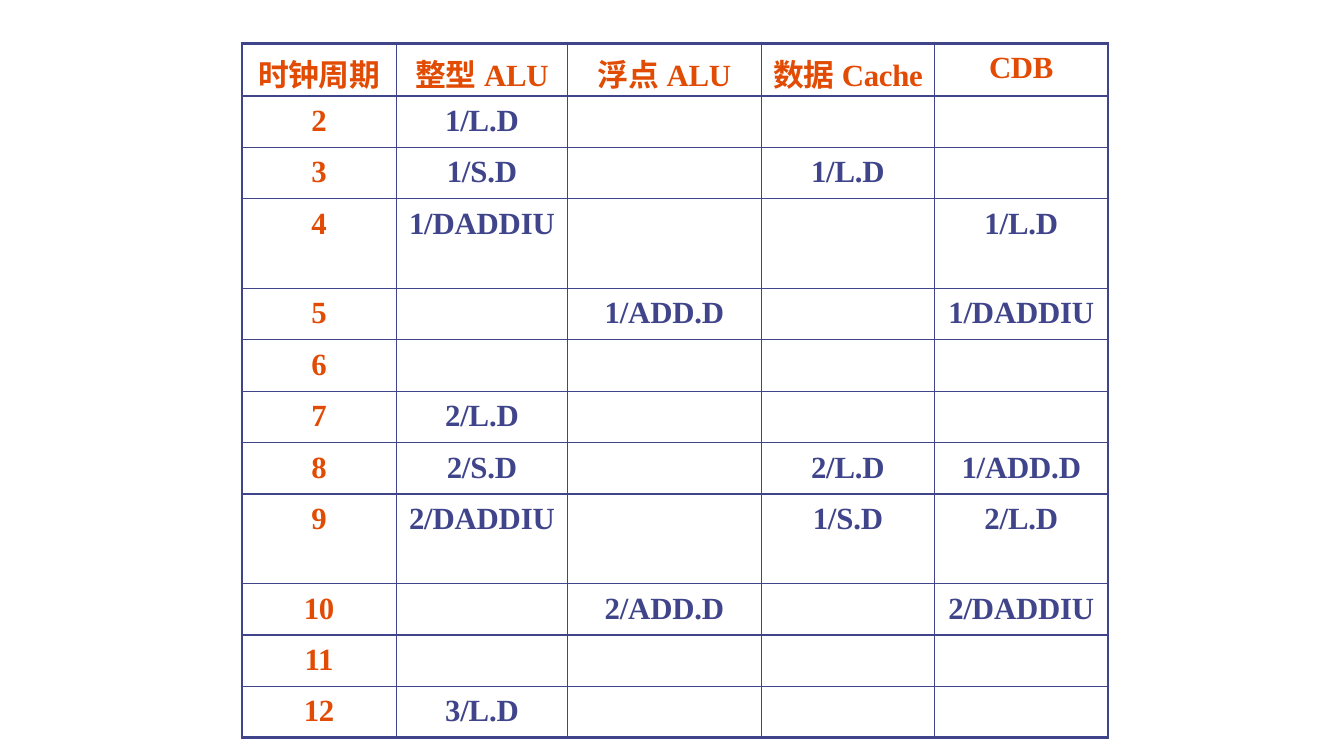
from pptx import Presentation
from pptx.dml.color import RGBColor
from pptx.enum.text import PP_ALIGN
from pptx.oxml import parse_xml
from pptx.oxml.ns import nsdecls
from pptx.util import Inches, Pt

BLUE, RED = "40458B", "E14B04"
LATIN, HAN = "Times New Roman", "Noto Sans CJK SC"


def add_run(para, text, face, color, gap):
    run = para.add_run()
    run.text = text
    font = run.font
    font.size, font.bold, font.name = Pt(22), True, face
    font.color.rgb = RGBColor.from_string(color)
    props = run._r.get_or_add_rPr()
    props.set("spc", str(gap))
    props.append(parse_xml(f'<a:ea {nsdecls("a")} typeface="{face}"/>'))


def add_edge(cell, side, width):
    cell._tc.get_or_add_tcPr().append(parse_xml(
        f'<a:ln{side} {nsdecls("a")} w="{Pt(width)}"><a:solidFill>'
        f'<a:srgbClr val="{BLUE}"/></a:solidFill></a:ln{side}>'))


# Header parts: Chinese word, Latin word
heads = [("时钟周期", ""), ("整型", " ALU"), ("浮点", " ALU"),
         ("数据", " Cache"), ("", "CDB")]

# Clock cycle, integer ALU, floating-point ALU, data cache, CDB
rows = [
    ("2", "1/L.D", "", "", ""),
    ("3", "1/S.D", "", "1/L.D", ""),
    ("4", "1/DADDIU", "", "", "1/L.D"),
    ("5", "", "1/ADD.D", "", "1/DADDIU"),
    ("6", "", "", "", ""),
    ("7", "2/L.D", "", "", ""),
    ("8", "2/S.D", "", "2/L.D", "1/ADD.D"),
    ("9", "2/DADDIU", "", "1/S.D", "2/L.D"),
    ("10", "", "2/ADD.D", "", "2/DADDIU"),
    ("11", "", "", "", ""),
    ("12", "3/L.D", "", "", ""),
]
widths = [1.53, 1.7, 1.92, 1.72, 1.72]
tall = {"4", "9"}

prs = Presentation()
prs.slide_width, prs.slide_height = Inches(13.33), Inches(7.5)
slide = prs.slides.add_slide(prs.slide_layouts[6])

# Table frame
count = len(rows) + 1
table = slide.shapes.add_table(count, len(widths), Inches(2.4), Inches(0.43),
                               Inches(sum(widths)), Inches(6.86)).table
table.first_row = table.horz_banding = False
for col, width in zip(table.columns, widths):
    col.width = Inches(width)
table.rows[0].height = Inches(0.51)
for i, row in enumerate(rows, 1):
    table.rows[i].height = Inches(0.89 if row[0] in tall else 0.51)

# Cells: thick outer frame, thin inner lines, centred text
for i in range(count):
    for j in range(len(widths)):
        cell = table.cell(i, j)
        cell.margin_left = cell.margin_right = cell.margin_bottom = 0
        cell.margin_top = Inches(0.08)
        outer = {"L": j == 0, "R": j == len(widths) - 1,
                 "T": i == 0, "B": i == count - 1}
        for side, thick in outer.items():
            add_edge(cell, side, 2.25 if thick else 1)
        cell.fill.background()
        para = cell.text_frame.paragraphs[0]
        para.alignment = PP_ALIGN.CENTER
        if i == 0:
            han, latin = heads[j]
            if han:
                add_run(para, han, HAN, RED, -20 if latin else -30)
            if latin:
                add_run(para, latin, LATIN, RED, -20)
        elif rows[i - 1][j]:
            text = rows[i - 1][j]
            if j == 0:
                add_run(para, text, LATIN, RED, -50 if len(text) == 1 else -20)
            else:
                add_run(para, text, LATIN, BLUE, -10)

prs.save("out.pptx")
